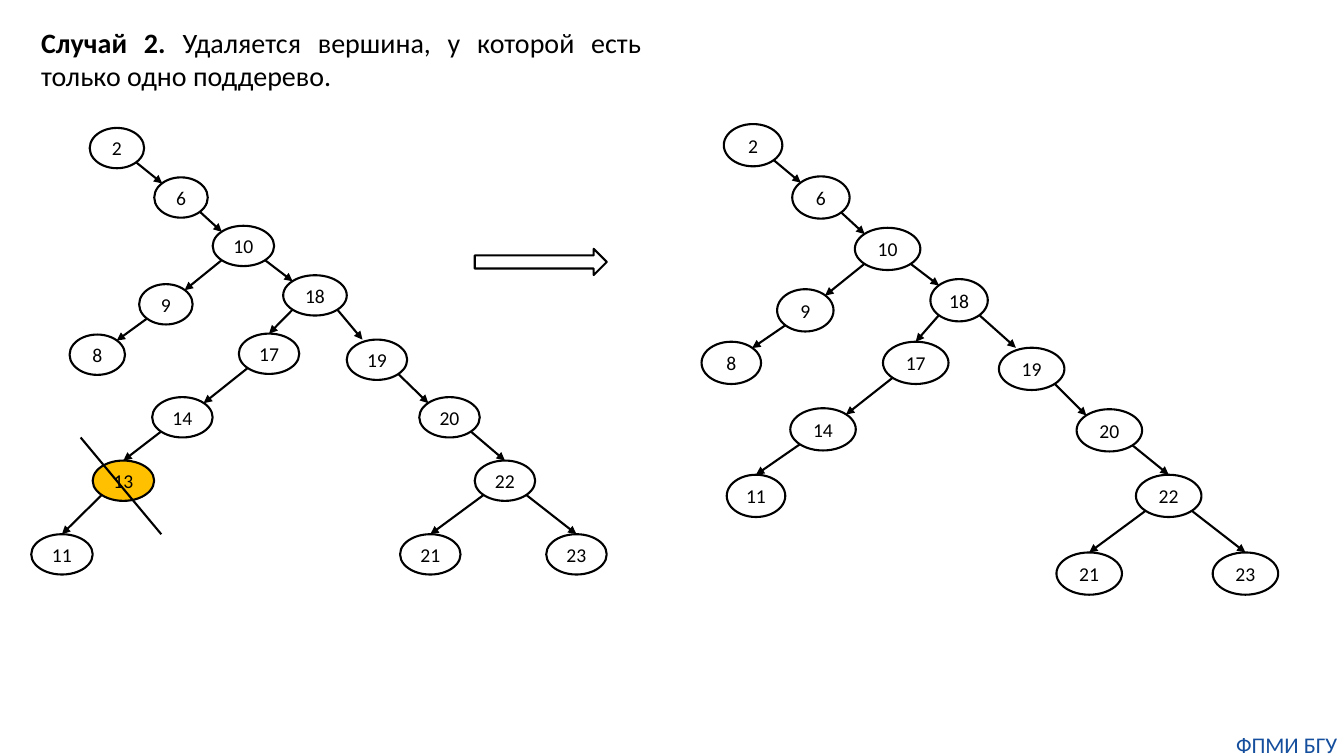
"""Builds a slide on deleting a binary search tree node that has only one subtree."""
from lxml import etree
from pptx import Presentation
from pptx.dml.color import RGBColor
from pptx.enum.shapes import MSO_CONNECTOR as Connector, MSO_SHAPE as Shape
from pptx.enum.text import MSO_ANCHOR as Anchor, MSO_AUTO_SIZE as AutoSize, PP_ALIGN as Align
from pptx.oxml.ns import qn
from pptx.util import Pt

BLACK = RGBColor(0x00, 0x00, 0x00)
AMBER = RGBColor(0xFF, 0xC0, 0x00)
BLUE = RGBColor(0x14, 0x4E, 0x9D)

TOP, ENTRY = (0.5, 0), (0.26, 0)
UPPER_LEFT, UPPER_RIGHT = (0.15, 0.15), (0.85, 0.15)
LOWER_LEFT, LOWER_RIGHT = (0.15, 0.85), (0.85, 0.85)

NODES_BEFORE = {
    2: (64.1, 91.4, 38.9), 6: (110.2, 126.7, 38.2), 10: (151.9, 161.3, 43.9),
    18: (202.3, 196.6, 45.4), 9: (99.4, 203, 38.2), 8: (49.7, 239, 39.6),
    17: (170.6, 238.3, 43.2), 19: (247.7, 242.6, 43.2), 14: (108.7, 283.7, 43.2),
    20: (299.5, 283.7, 43.2), 13: (66.2, 329, 43.9), 22: (339.1, 329, 43.2),
    11: (22.3, 381.6, 43.9), 21: (285.8, 381.6, 43.2), 23: (390.2, 381.6, 43.2),
}
NODES_AFTER = {
    2: (517, 88.6, 41.8), 6: (565.9, 126, 41), 10: (610.6, 162.7, 46.8),
    18: (664.6, 199.4, 41), 9: (555.1, 206.6, 40.3), 8: (501.1, 244.1, 42.5),
    17: (630.7, 244.1, 46.8), 19: (713.5, 248.4, 46.8), 14: (564.5, 291.6, 46.8),
    20: (769, 292.3, 46.8), 22: (811.4, 339.1, 46.8), 11: (519.1, 339.1, 41.8),
    21: (754.6, 394.6, 46.8), 23: (866.2, 394.6, 46.8),
}
SHARED_EDGES = [
    (2, 6, UPPER_LEFT), (6, 10, UPPER_LEFT), (10, 9, UPPER_RIGHT), (10, 18, UPPER_LEFT),
    (9, 8, UPPER_RIGHT), (18, 17, TOP), (18, 19, ENTRY), (17, 14, UPPER_RIGHT),
    (19, 20, UPPER_LEFT), (20, 22, TOP), (22, 21, TOP), (22, 23, TOP),
]
TREES = [
    (NODES_BEFORE, 28.8, SHARED_EDGES + [(14, 13, TOP), (13, 11, TOP)]),
    (NODES_AFTER, 30.2, SHARED_EDGES + [(14, 11, TOP)]),
]


def add_outlined(shapes, kind, left, top, width, height):
    outlined = shapes.add_shape(kind, Pt(left), Pt(top), Pt(width), Pt(height))
    outlined.shadow.inherit = False
    outlined.fill.background()
    outlined.line.color.rgb = BLACK
    outlined.line.width = Pt(1.5)
    return outlined


def add_stroke(shapes, start, end):
    stroke = shapes.add_connector(Connector.STRAIGHT, *map(Pt, start + end))
    stroke.line.color.rgb = BLACK
    stroke.line.width = Pt(1.5)
    etree.SubElement(stroke._element.spPr, qn("a:effectLst"))
    return stroke


presentation = Presentation()
presentation.slide_width, presentation.slide_height = Pt(960), Pt(540)
slide = presentation.slides.add_slide(presentation.slide_layouts[6])

for nodes, node_height, edges in TREES:
    tree = slide.shapes.add_group_shape().shapes
    for key, (left, top, width) in nodes.items():
        node = add_outlined(tree, Shape.OVAL, left, top, width, node_height)
        if key == 13:
            node.fill.solid()
            node.fill.fore_color.rgb = AMBER
        frame = node.text_frame
        frame.margin_left = frame.margin_right = frame.margin_top = frame.margin_bottom = 0
        frame.vertical_anchor = Anchor.MIDDLE
        label = frame.paragraphs[0]
        label.text = str(key)
        label.alignment = Align.CENTER
        label.font.name, label.font.size = "Calibri", Pt(14)
        label.font.color.rgb = BLACK
    for parent, child, arrival in edges:
        departure = LOWER_LEFT if child < parent else LOWER_RIGHT
        start, end = [
            (nodes[key][0] + nodes[key][2] * across, nodes[key][1] + node_height * down)
            for key, (across, down) in ((parent, departure), (child, arrival))
        ]
        edge = add_stroke(tree, start, end)
        etree.SubElement(edge.line._get_or_add_ln(), qn("a:tailEnd"), type="triangle")

add_outlined(slide.shapes, Shape.RIGHT_ARROW, 339.1, 177.8, 94.3, 18.7)
add_stroke(slide.shapes, (57.6, 312.5), (115.2, 381.6))

footer = slide.shapes.add_textbox(Pt(878.4), Pt(522), Pt(81.4), Pt(19.4)).text_frame
footer.margin_left = footer.margin_right = footer.margin_top = footer.margin_bottom = 0
footer.word_wrap = True
footer.auto_size = AutoSize.SHAPE_TO_FIT_TEXT
department = footer.paragraphs[0]
department.text = "ФПМИ БГУ"
department.alignment = Align.CENTER
department.font.name, department.font.size = "Calibri", Pt(16)
department.font.color.rgb = BLUE

heading = slide.shapes.add_textbox(Pt(22.3), Pt(14.4), Pt(442.8), Pt(55.4)).text_frame
heading.word_wrap = True
heading.auto_size = AutoSize.SHAPE_TO_FIT_TEXT
statement = heading.paragraphs[0]
statement.alignment = Align.JUSTIFY
statement.font.name, statement.font.size = "Calibri", Pt(20)
statement.font.color.rgb = BLACK
case = statement.add_run()
case.text = "Случай 2."
case.font.bold = True
statement.add_run().text = " Удаляется вершина, у которой есть только одно поддерево."

presentation.save("out.pptx")
